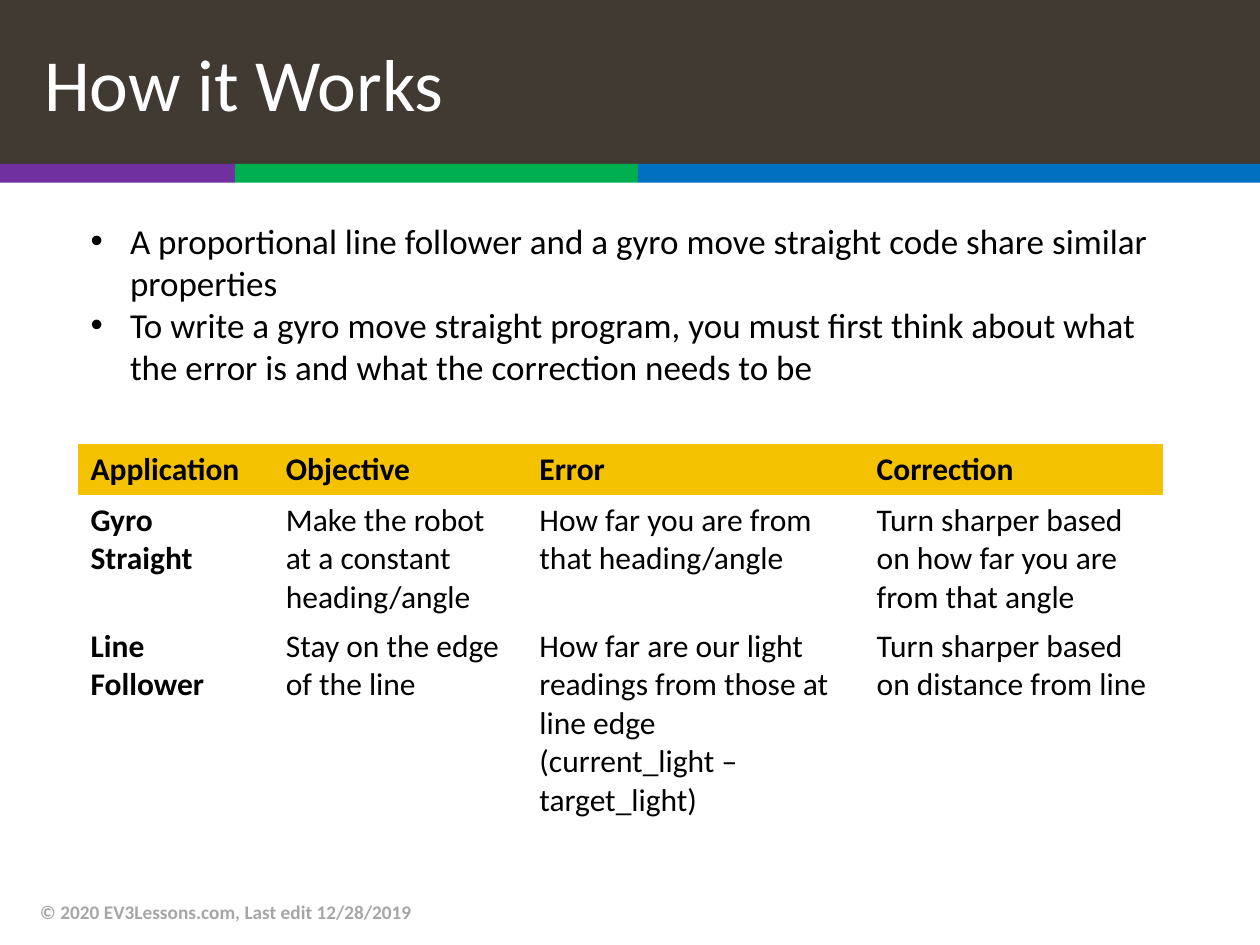
"""Build the "How it Works" slide comparing gyro straight and line follower."""
from pptx import Presentation
from pptx.dml.color import RGBColor
from pptx.enum import shapes, text
from pptx.util import Pt

COLORS = {
    "header": "413A33", "purple": "7030A0", "green": "00B050", "blue": "0070C0",
    "gold": "F5C201", "black": "000000", "white": "FFFFFF", "gray": "A6A6A6",
}
FONT = "Calibri"
NO_STYLE = "{2D5ABB26-0587-4C30-8999-92F81FD0307C}"
WIDTH, HEIGHT = 720, 540
HEADER_HEIGHT = 93.6
STRIPE_HEIGHT = 10.8
STRIPES = [("purple", 134.4), ("green", 230.2), ("blue", 355.4)]

TITLE = "How it Works"
POINTS = [
    "A proportional line follower and a gyro move straight code share similar properties",
    "To write a gyro move straight program, you must first think about what the error is "
    "and what the correction needs to be",
]
COLUMN_WIDTHS = [111.6, 144.9, 192.7, 170.6]
ROW_HEIGHT = 29.2
APPLICATIONS = [
    ["Application", "Objective", "Error", "Correction"],
    ["Gyro Straight", "Make the robot at a constant heading/angle",
     "How far you are from that heading/angle",
     "Turn sharper based on how far you are from that angle"],
    ["Line Follower", "Stay on the edge of the line",
     "How far are our light readings from those at line edge\n(current_light – target_light)",
     "Turn sharper based on distance from line"],
]
COPYRIGHT = "© 2020 EV3Lessons.com, Last edit 12/28/2019"


def rgb(name):
    return RGBColor.from_string(COLORS[name])


def place(shape, left, top, width, height):
    shape.left, shape.top = Pt(left), Pt(top)
    shape.width, shape.height = Pt(width), Pt(height)


def fill(target, color):
    target.fill.solid()
    target.fill.fore_color.rgb = rgb(color)


def write(paragraph, wording, size, color, bold=False):
    paragraph.alignment = text.PP_ALIGN.LEFT
    for number, line in enumerate(wording.split("\n")):
        if number:
            paragraph.add_line_break()
        run = paragraph.add_run()
        run.text = line
        run.font.name, run.font.size, run.font.bold = FONT, Pt(size), bold
        run.font.color.rgb = rgb(color)


def indent(paragraph, margin, first):
    properties = paragraph._p.get_or_add_pPr()
    properties.set("marL", str(Pt(margin)))
    properties.set("indent", str(Pt(first)))


def add_stripes(slide):
    left = 0
    for color, width in STRIPES:
        stripe = slide.shapes.add_shape(
            shapes.MSO_SHAPE.RECTANGLE, Pt(left), Pt(HEADER_HEIGHT), Pt(width), Pt(STRIPE_HEIGHT))
        fill(stripe, color)
        stripe.line.fill.background()
        stripe.shadow.inherit = False
        left += width


def add_title(slide):
    title = slide.shapes.title
    place(title, 0, 0, WIDTH, HEADER_HEIGHT)
    fill(title, "header")
    title.text_frame.auto_size = text.MSO_AUTO_SIZE.NONE
    title.text_frame.vertical_anchor = text.MSO_ANCHOR.MIDDLE
    heading = title.text_frame.paragraphs[0]
    indent(heading, 18, 0)
    write(heading, TITLE, 42, "white")


def add_points(slide):
    points = slide.placeholders[1]
    place(points, 44.6, 121.7, 625.7, 104.4)
    frame = points.text_frame
    frame.auto_size = text.MSO_AUTO_SIZE.SHAPE_TO_FIT_TEXT
    for number, wording in enumerate(POINTS):
        point = frame.add_paragraph() if number else frame.paragraphs[0]
        indent(point, 22.5, -22.5)
        point.space_before = Pt(0)
        write(point, wording, 20, "black")


def add_applications(slide):
    rows, columns = len(APPLICATIONS), len(COLUMN_WIDTHS)
    applications = slide.shapes.add_table(
        rows, columns, Pt(44.6), Pt(253.6), Pt(sum(COLUMN_WIDTHS)), Pt(rows * ROW_HEIGHT)).table
    applications._tbl.tblPr[0].text = NO_STYLE
    applications.horz_banding = False
    for column, width in zip(applications.columns, COLUMN_WIDTHS):
        column.width = Pt(width)
    for r, row in enumerate(APPLICATIONS):
        for c, wording in enumerate(row):
            cell = applications.cell(r, c)
            if r == 0:
                fill(cell, "gold")
            else:
                cell.fill.background()
            write(cell.text_frame.paragraphs[0], wording, 18, "black", bold=r == 0 or c == 0)


def add_copyright(slide):
    notice = slide.shapes.add_textbox(Pt(15.8), Pt(506.9), Pt(482.4), Pt(28.8)).text_frame
    notice.word_wrap = True
    notice.vertical_anchor = text.MSO_ANCHOR.MIDDLE
    write(notice.paragraphs[0], COPYRIGHT, 11, "gray", bold=True)


def main():
    deck = Presentation()
    deck.slide_width, deck.slide_height = Pt(WIDTH), Pt(HEIGHT)
    slide = deck.slides.add_slide(deck.slide_layouts[1])
    for add_part in (add_stripes, add_title, add_points, add_applications, add_copyright):
        add_part(slide)
    deck.save("out.pptx")


if __name__ == "__main__":
    main()
